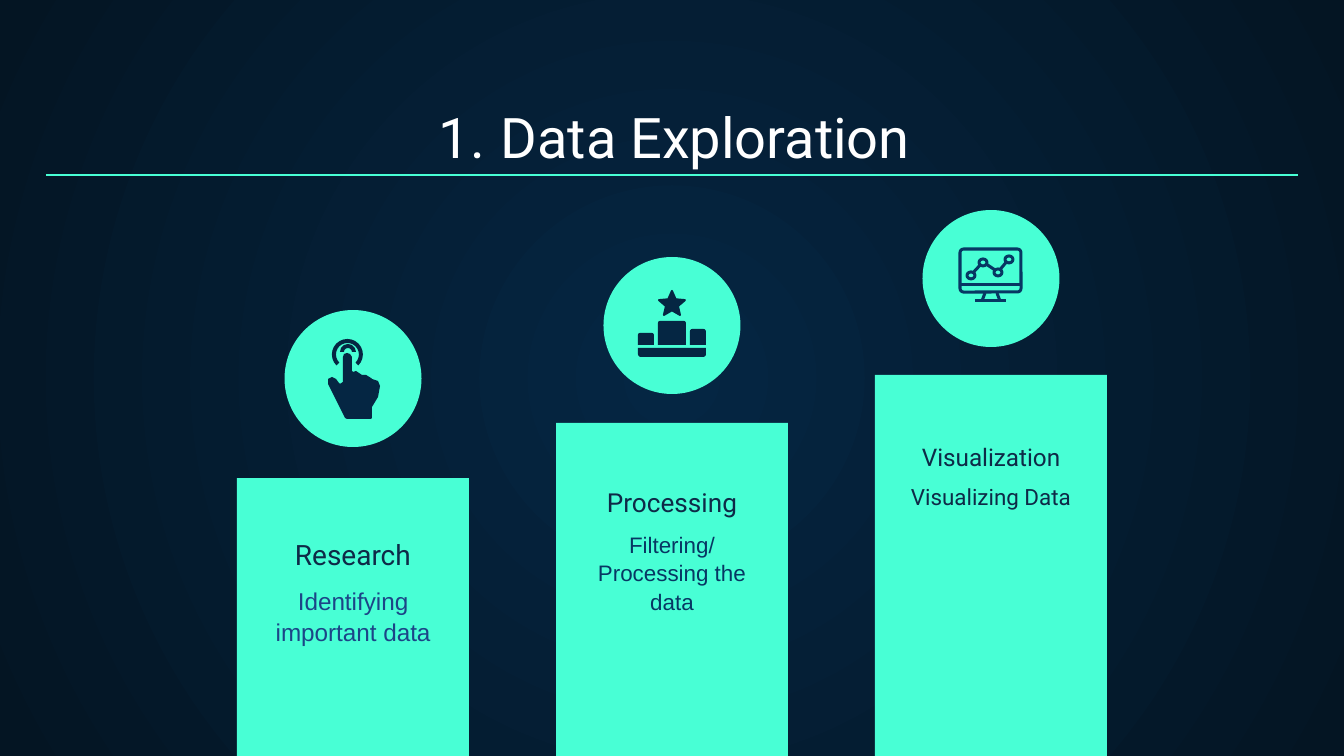
from lxml import etree
from pptx import Presentation
from pptx.dml.color import RGBColor
from pptx.enum.shapes import MSO_CONNECTOR, MSO_SHAPE
from pptx.enum.text import MSO_ANCHOR, MSO_AUTO_SIZE, PP_ALIGN
from pptx.oxml.ns import qn
from pptx.util import Emu, Pt

RECT, OVAL, STAR = MSO_SHAPE.RECTANGLE, MSO_SHAPE.OVAL, MSO_SHAPE.STAR_5_POINT
ROUND, TAB = MSO_SHAPE.ROUNDED_RECTANGLE, MSO_SHAPE.ROUND_2_SAME_RECTANGLE
ARC, LINE = MSO_SHAPE.BLOCK_ARC, MSO_CONNECTOR.STRAIGHT
TOP, BOTTOM, CENTER = MSO_ANCHOR.TOP, MSO_ANCHOR.BOTTOM, PP_ALIGN.CENTER
NO_FIT = MSO_AUTO_SIZE.NONE

# Content
TITLE = "Data Exploration"
STEPS = [
    {"head": "Research", "size": 15, "top": 478, "disc": 310, "head_y": 556,
     "body": ("Identifying important data", 13, "Arial", "soft"), "body_y": 572},
    {"head": "Processing", "size": 14, "top": 423, "disc": 257, "head_y": 503,
     "body": ("Filtering/Processing the data", 12, "Arial", "blue"), "body_y": 517},
    {"head": "Visualization", "size": 13, "top": 375, "disc": 210, "head_y": 456,
     "body": ("Visualizing Data", 12, "Roboto", "ink"), "body_y": 469},
]

THEME = {"font": "Roboto", "title": 30, "white": "FFFFFF", "mint": "48FFD5",
         "navy": "052643", "night": "041523", "ink": "0E2A47",
         "blue": "073763", "soft": "1C4587"}

# Layout in px
WIDE, HIGH, SCALE = 1344, 756, 9144000 / 1344
FIRST, STEP = 353, 319
BAR, FLOOR, DISC = 232, 760, 137
HEAD, BODY, INSET = (305, 28), (204, 74), 13

# Icon parts in px: box, start and end angle, thickness
ARCS = [((332, 339, 31, 31), 135, 45, 0.13), ((340, 344, 16, 16), 180, 0, 0.25)]
HAND = [(347, 353), (344, 354), (343, 357), (343, 382), (340, 384), (339, 383),
        (336, 379), (332, 377), (328, 379), (328, 384), (345, 418), (347, 419),
        (371, 419), (372, 418), (372, 407), (378, 397), (380, 386), (378, 381),
        (372, 379), (371, 378), (366, 375), (362, 375), (356, 371), (353, 372),
        (352, 371), (352, 357), (350, 354)]
BLOCKS = [((638, 333, 16, 12), 0.15, 0), ((658, 321, 28, 24), 0.08, 0),
          ((690, 329, 16, 16), 0.15, 0), ((638, 348, 68, 9), 0, 0.3)]
NODES = [(971, 275), (983, 262), (998, 272), (1009, 259)]
FRAME = [((960, 285), (1021, 285)), ((985, 293), (982, 301)),
         ((997, 293), (1000, 301)), ((975, 301), (1006, 301))]


def px(n):
    return Emu(round(n * SCALE))


def tint(name):
    return RGBColor.from_string(THEME[name])


def paint(shape, fill, edge=None, width=3):
    shape.shadow.inherit = False
    if fill:
        shape.fill.solid()
        shape.fill.fore_color.rgb = tint(fill)
    else:
        shape.fill.background()
    if edge:
        shape.line.color.rgb = tint(edge)
        shape.line.width = px(width)
    else:
        shape.line.fill.background()


def draw(kind, box, fill, edge=None, width=3, adjust=()):
    shape = slide.shapes.add_shape(kind, *map(px, box))
    for i, n in enumerate(adjust):
        shape.adjustments[i] = n
    paint(shape, fill, edge, width)


def rule(start, end, color, width):
    line = slide.shapes.add_connector(LINE, *map(px, start + end))
    line.line.color.rgb = tint(color)
    line.line.width = px(width)
    etree.SubElement(line._element.spPr, qn("a:effectLst"))


def write(shape, text, size, font, color, anchor):
    frame = shape.text_frame
    frame.text = text
    frame.word_wrap, frame.auto_size = True, NO_FIT
    frame.vertical_anchor = anchor
    frame.margin_left = frame.margin_right = px(INSET)
    frame.margin_top = frame.margin_bottom = px(INSET)
    para = frame.paragraphs[0]
    para.alignment = CENTER
    run = para.runs[0].font
    run.size, run.name = Pt(size), font
    run.color.rgb = tint(color)
    return para


def label(mid, top, size, *style):
    box = slide.shapes.add_textbox(*map(px, (mid - size[0] / 2, top, *size)))
    return write(box, *style)


deck = Presentation()
deck.slide_width, deck.slide_height = px(WIDE), px(HIGH)
slide = deck.slides.add_slide(deck.slide_layouts[5])

# Radial background
back = slide.background.fill
back.gradient()
for stop, name in zip(back.gradient_stops, ("navy", "night")):
    stop.color.rgb = tint(name)
for stop, spot in zip(back.gradient_stops, (0, 1)):
    stop.position = spot
grad = next(slide._element.iter(qn("a:gradFill")))
for lin in grad.findall(qn("a:lin")):
    grad.remove(lin)
path = etree.SubElement(grad, qn("a:path"), {"path": "circle"})
etree.SubElement(path, qn("a:fillToRect"), dict.fromkeys("ltrb", "50000"))

# Numbered title and rule
title = slide.shapes.title
title.left, title.top, title.width, title.height = map(px, (46, 94, 1252, 89))
para = write(title, TITLE, THEME["title"], THEME["font"], "white", BOTTOM)
props = para._p.get_or_add_pPr()
props.set("marL", str(px(67)))
props.set("indent", str(px(-62)))
color = etree.SubElement(props, qn("a:buClr"))
etree.SubElement(color, qn("a:srgbClr"), {"val": THEME["white"]})
etree.SubElement(props, qn("a:buFont"), {"typeface": THEME["font"]})
etree.SubElement(props, qn("a:buAutoNum"), {"type": "arabicPeriod"})
rule((46, 175), (1298, 175), "mint", 1.4)

# Rising bars with labels and discs
for i, step in enumerate(STEPS):
    mid = FIRST + i * STEP
    draw(RECT, (mid - BAR / 2, step["top"], BAR, FLOOR - step["top"]), "mint")
    label(mid, step["head_y"], HEAD, step["head"], step["size"],
          THEME["font"], "ink", BOTTOM)
    label(mid, step["body_y"], BODY, *step["body"], TOP).line_spacing = 1.05
    draw(OVAL, (mid - DISC / 2, step["disc"], DISC, DISC), "mint")

# Tapping hand
for box, start, end, thick in ARCS:
    draw(ARC, box, "navy", adjust=(start * 0.6, end * 0.6, thick))
pen = slide.shapes.build_freeform(*HAND[0], scale=SCALE)
pen.add_line_segments(HAND[1:], close=True)
paint(pen.convert_to_shape(), "navy")

# Podium with star
draw(STAR, (659, 291, 26, 24), "navy", "navy", 2, (0.23,))
for box, upper, lower in BLOCKS:
    draw(TAB, box, "navy", adjust=(upper, lower))

# Monitor with line chart
draw(ROUND, (960, 249, 61, 43), None, "blue", adjust=(0.08,))
for start, end in FRAME + list(zip(NODES, NODES[1:])):
    rule(start, end, "blue", 3)
for x, y in NODES:
    draw(OVAL, (x - 4, y - 3, 8, 7), "mint", "blue")

deck.save("out.pptx")
